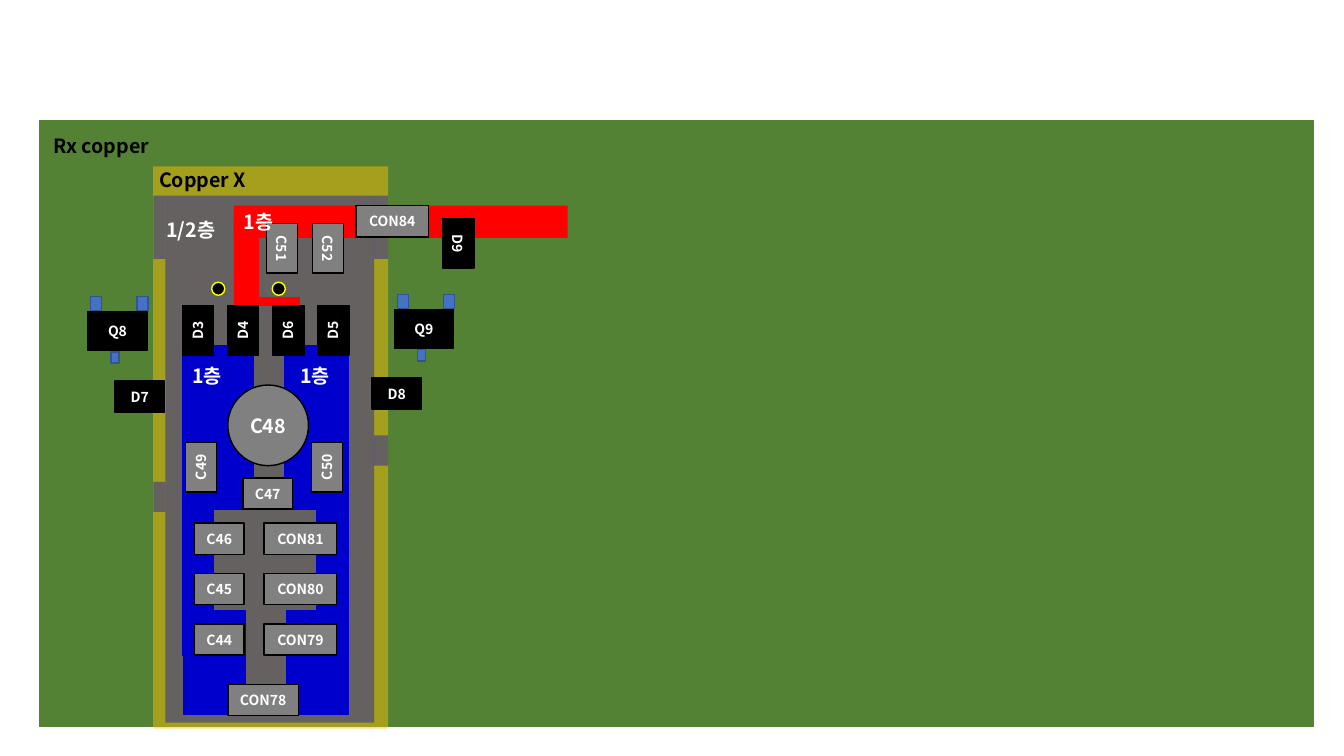
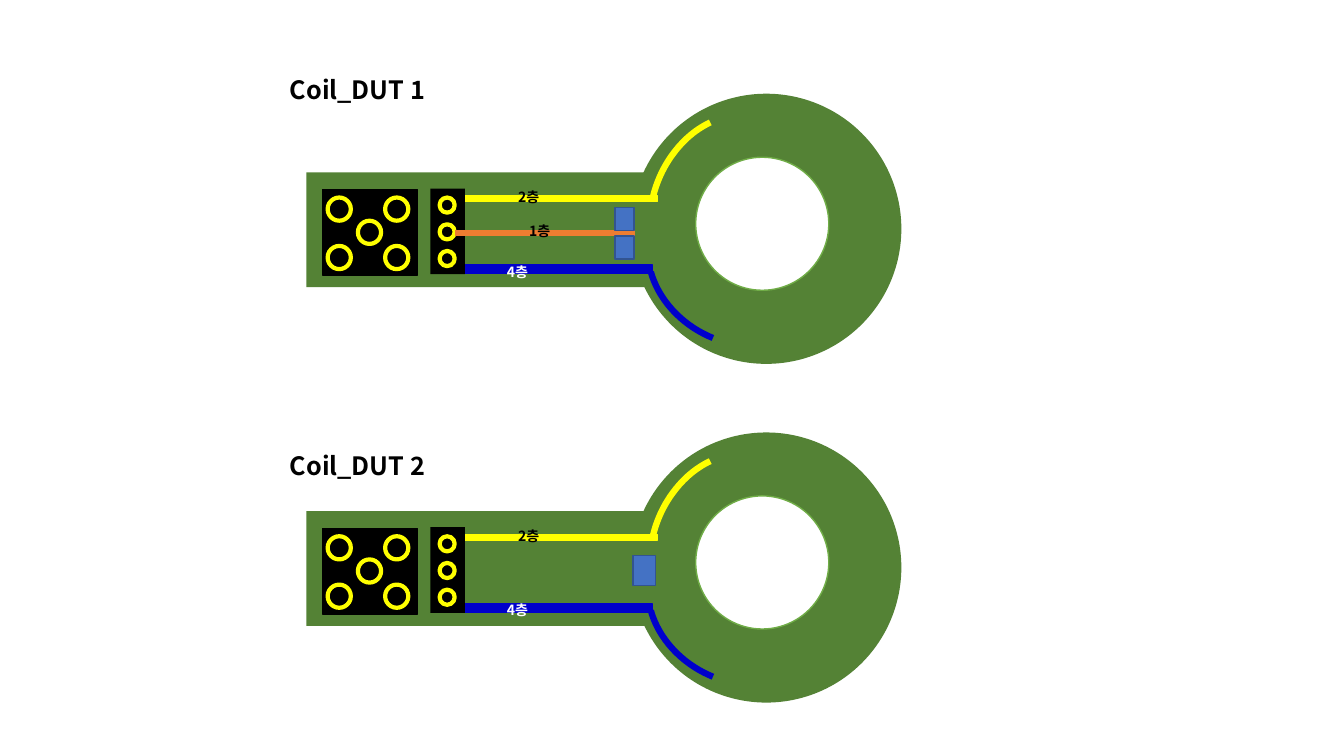
"""Build two slides: a receiver copper layout and two coil test boards."""
from lxml.etree import SubElement
from pptx import Presentation
from pptx.dml.color import RGBColor
from pptx.enum.shapes import MSO_CONNECTOR, MSO_SHAPE as SHAPE
from pptx.enum.text import MSO_ANCHOR, PP_ALIGN
from pptx.oxml.ns import qn
from pptx.util import Inches, Pt

FONT = "Noto Sans CJK KR"
WHITE = RGBColor(0xFF, 0xFF, 0xFF)
BLACK = RGBColor(0x00, 0x00, 0x00)
GREEN = RGBColor(0x54, 0x82, 0x35)
LIGHT_GREEN = RGBColor(0x70, 0xAD, 0x47)
GOLD = RGBColor(0xFF, 0xC0, 0x00)
BLUE = RGBColor(0x00, 0x00, 0xCC)
RED = RGBColor(0xFF, 0x00, 0x00)
GRAY = RGBColor(0x80, 0x80, 0x80)
YELLOW = RGBColor(0xFF, 0xFF, 0x00)
ORANGE = RGBColor(0xED, 0x7D, 0x31)
PIN = RGBColor(0x44, 0x72, 0xC4)
PIN_EDGE = RGBColor(0x32, 0x54, 0x91)


def draw(shapes, at, fill=None, line=None, pt=1, kind=SHAPE.RECTANGLE, rot=0, alpha=None):
    """Add a preset shape with the given fill, outline and opacity."""
    sp = shapes.add_shape(kind, *map(Inches, at))
    sp.shadow.inherit = False
    sp.rotation = rot
    if fill is None:
        sp.fill.background()
    else:
        sp.fill.solid()
        sp.fill.fore_color.rgb = fill
    if alpha:
        color = sp._element.spPr.find(qn("a:solidFill"))[0]
        SubElement(color, qn("a:alpha"), val=str(alpha * 1000))
    if line is None:
        sp.line.fill.background()
    else:
        sp.line.color.rgb = line
        sp.line.width = Pt(pt)
    return sp


def write(sp, text, size=10, color=WHITE, align=PP_ALIGN.CENTER, inset=0):
    """Put one bold line of text into a shape or text box."""
    tf = sp.text_frame
    frame = {"word_wrap": True, "vertical_anchor": MSO_ANCHOR.MIDDLE,
             "margin_left": Inches(inset), "margin_right": Inches(inset)}
    for name, value in frame.items():
        setattr(tf, name, value)
    p = tf.paragraphs[0]
    p.alignment = align
    r = p.add_run()
    r.text = text
    for name, value in {"size": Pt(size), "bold": True, "name": FONT}.items():
        setattr(r.font, name, value)
    r.font.color.rgb = color
    SubElement(r._r.get_or_add_rPr(), qn("a:ea"), typeface=FONT)


prs = Presentation()
prs.slide_width, prs.slide_height = Inches(13.33), Inches(7.5)
blank = prs.slide_layouts[6]
board, coils = [prs.slides.add_slide(blank).shapes for _ in range(2)]
traces = []
labels = []

draw(board, (0.37, 1.17, 12.68, 6.06), GREEN, WHITE, 3)
draw(board, (1.52, 1.65, 2.33, 5.58), GOLD, alpha=47)
for at in [(1.64, 1.94, 2.07, 5.23), (1.52, 1.94, 0.12, 0.63), (3.71, 1.94, 0.14, 0.63),
           (1.52, 4.78, 0.12, 0.3), (3.71, 4.32, 0.14, 0.3)]:
    draw(board, at, BLUE, alpha=39)
for at in [(1.82, 6.06, 0.61, 1.03), (2.84, 6.06, 0.61, 1.03), (1.81, 3.43, 0.7, 1.62),
           (2.82, 3.43, 0.63, 1.62), (3.14, 3.46, 0.31, 3.03), (1.81, 3.52, 0.31, 2.98)]:
    draw(board, at, BLUE, BLUE)
for at in [(4.24, 2.04, 1.39, 0.32), (2.32, 2.04, 1.39, 0.32), (2.32, 2.17, 0.25, 0.86)]:
    draw(board, at, RED)
traces.append((board, 2.41, 2.98, 2.99, RED, 6))

chips = [("CON78", 2.26, 6.79, 0.7, 0, GRAY), ("C47", 2.41, 4.74, 0.49, 0, GRAY),
         ("C51", 2.55, 2.31, 0.49, 90, GRAY), ("C52", 3.01, 2.31, 0.49, 90, GRAY),
         ("CON84", 3.53, 2.04, 0.72, 0, GRAY),
         ("C49", 1.75, 4.48, 0.49, 270, GRAY), ("C50", 3, 4.48, 0.49, 270, GRAY),
         ("D9", 4.3, 2.26, 0.49, 90, BLACK), ("D7", 1.14, 3.78, 0.49, 0, BLACK),
         ("D8", 3.69, 3.75, 0.49, 0, BLACK)]
for row in range(3):
    y = 6.19 - 0.5 * row
    chips += [(f"C{44 + row}", 1.93, y, 0.49, 0, GRAY), (f"CON{79 + row}", 2.62, y, 0.72, 0, GRAY)]
for col, name in enumerate(["D3", "D4", "D6", "D5"]):
    chips.append((name, 1.72 + 0.447 * col, 3.12, 0.49, 270, BLACK))

for sh, left, right, y, color, pt in traces:
    trace = sh.add_connector(MSO_CONNECTOR.STRAIGHT, *map(Inches, (left, y, right, y)))
    trace.line.color.rgb, trace.line.width = color, Pt(pt)
    SubElement(trace._element.spPr, qn("a:effectLst"))
for name, x, y, w, rot, fill in chips:
    write(draw(board, (x, y, w, 0.31), fill, BLACK, rot=rot), name)
write(draw(board, (2.26, 3.82, 0.8, 0.8), GRAY, BLACK, kind=SHAPE.OVAL), "C48", 14)
for x in (2.1, 2.7):
    draw(board, (x, 2.8, 0.13, 0.13), BLACK, YELLOW, kind=SHAPE.OVAL)
for name, x, y in [("Q9", 3.91, 3.07), ("Q8", 0.87, 3.09)]:
    transistor = board.add_group_shape().shapes
    write(draw(transistor, (x, y, 0.59, 0.39), BLACK, BLACK), name)
    for dx, dy, w, h in [(0.03, -0.15, 0.11, 0.14), (0.49, -0.15, 0.11, 0.14),
                         (0.23, 0.4, 0.08, 0.11)]:
        draw(transistor, (x + dx, y + dy, w, h), PIN, PIN_EDGE)

for text, x, y, w, h, color in [
        ("Copper X", 1.48, 1.63, 1.43, 0.31, BLACK), ("Rx copper", 0.43, 1.29, 1.43, 0.31, BLACK),
        ("1층", 1.81, 3.59, 0.52, 0.27, WHITE), ("1층", 2.88, 3.59, 0.52, 0.27, WHITE),
        ("1층", 2.32, 2.06, 0.52, 0.27, WHITE), ("1/2층", 1.55, 2.14, 0.72, 0.27, WHITE)]:
    labels.append((board, text, (x, y, w, h), 14, color, PP_ALIGN.LEFT))

single_pad = [(6.28, 2.15, 0.22, 0.3)]
pad_pair = [(6.1, 2.34, 0.19, 0.23), (6.1, 2.06, 0.19, 0.23)]
traces = [(coils, 6.28, 4.51, 2.31, ORANGE, 4.5)]
for title, title_y, top, pads in [("Coil_DUT 1", 0.66, 0, pad_pair),
                                  ("Coil_DUT 2", 4.39, 3.36, single_pad)]:
    draw(coils, (6.26, 0.93 + top, 2.68, 2.68), GREEN, kind=SHAPE.OVAL)
    draw(coils, (3.04, 1.71 + top, 3.37, 1.14), GREEN)
    for x, y, w, h, rot, end, color in [(6.38, 1.95, 1.78, 1.42, 212.7, 194.86, BLUE),
                                        (6.27, 1.33, 1.84, 1.41, 293.9, 195.63, YELLOW)]:
        arc = draw(coils, (x, y + top, w, h), None, color, 4.5, SHAPE.ARC, rot)
        arc.adjustments[0], arc.adjustments[1] = 152.01, end
    draw(coils, (4.33, 2.63 + top, 2.14, 0.08), BLUE, BLUE)
    draw(coils, (4.38, 1.94 + top, 2.14, 0.06), YELLOW, YELLOW)
    draw(coils, (4.27, 1.87 + top, 0.34, 0.85), BLACK)
    for row in range(3):
        draw(coils, (4.36, 1.96 + 0.265 * row + top, 0.15, 0.15), BLACK, YELLOW, 3, SHAPE.OVAL)
    if pads is pad_pair:
        draw(coils, (6.16, 2.17, 0.13, 0.31), ORANGE, ORANGE)
        for sh, left, right, y, color, pt in traces:
            trace = sh.add_connector(MSO_CONNECTOR.STRAIGHT, *map(Inches, (left, y, right, y)))
            trace.line.color.rgb, trace.line.width = color, Pt(pt)
            SubElement(trace._element.spPr, qn("a:effectLst"))
        labels.append((coils, "1층", (5.15, 2.14, 0.85, 0.31), 10, BLACK, PP_ALIGN.LEFT))
    for x, y, w, h in pads:
        draw(coils, (x, y + top, w, h), PIN, PIN_EDGE)
    draw(coils, (6.9, 1.56 + top, 1.32, 1.32), WHITE, LIGHT_GREEN, kind=SHAPE.OVAL)
    socket = coils.add_group_shape().shapes
    draw(socket, (3.2, 1.88 + top, 0.94, 0.85), BLACK, BLACK)
    for x, y in [(3.25, 1.96), (3.25, 2.44), (3.82, 2.44), (3.82, 1.96), (3.55, 2.19)]:
        draw(socket, (x, y + top, 0.23, 0.23), BLACK, YELLOW, 3, SHAPE.OVAL)
    labels += [(coils, "4층", (4.93, 2.54 + top, 0.85, 0.31), 10, WHITE, PP_ALIGN.LEFT),
               (coils, "2층", (5.04, 1.8 + top, 0.85, 0.31), 10, BLACK, PP_ALIGN.LEFT),
               (coils, title, (2.45, title_y, 2.19, 0.46), 18, BLACK, PP_ALIGN.CENTER)]

for sh, text, at, size, color, align in labels:
    write(sh.add_textbox(*map(Inches, at)), text, size, color, align, 0.1)

prs.save("out.pptx")
